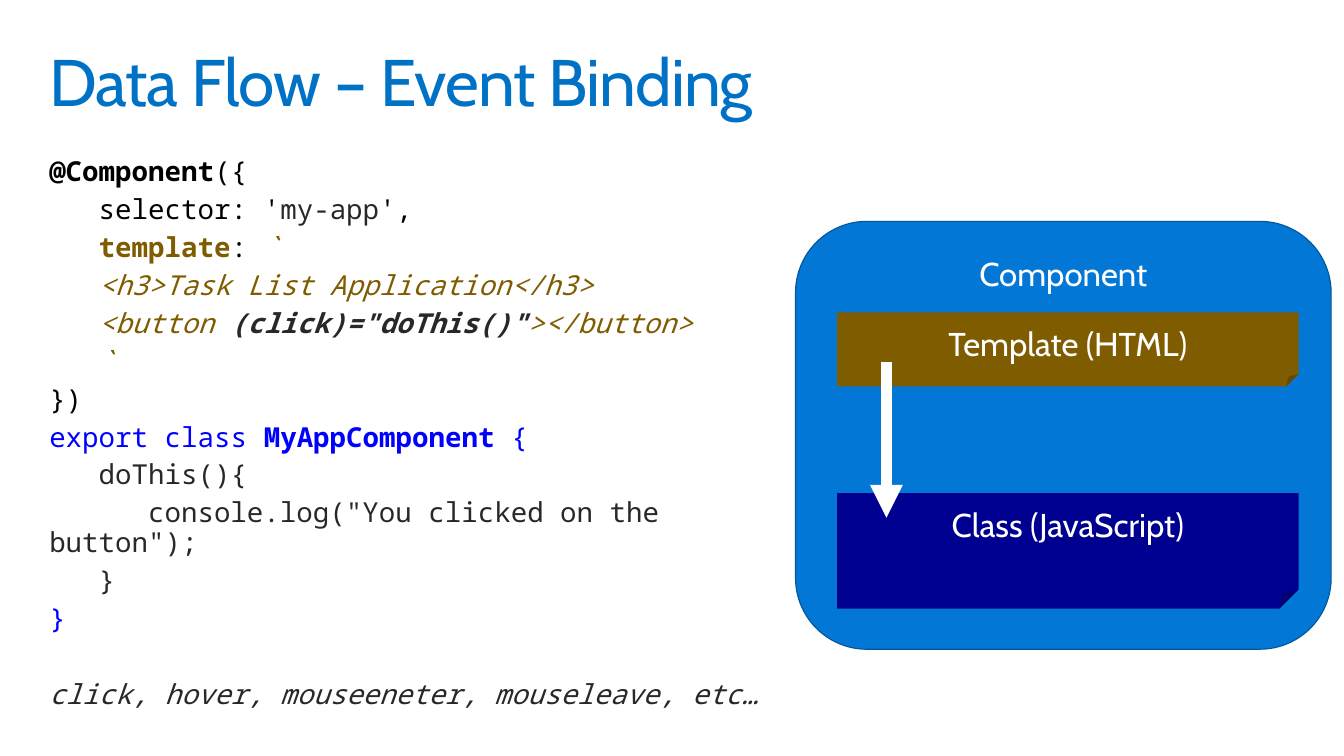
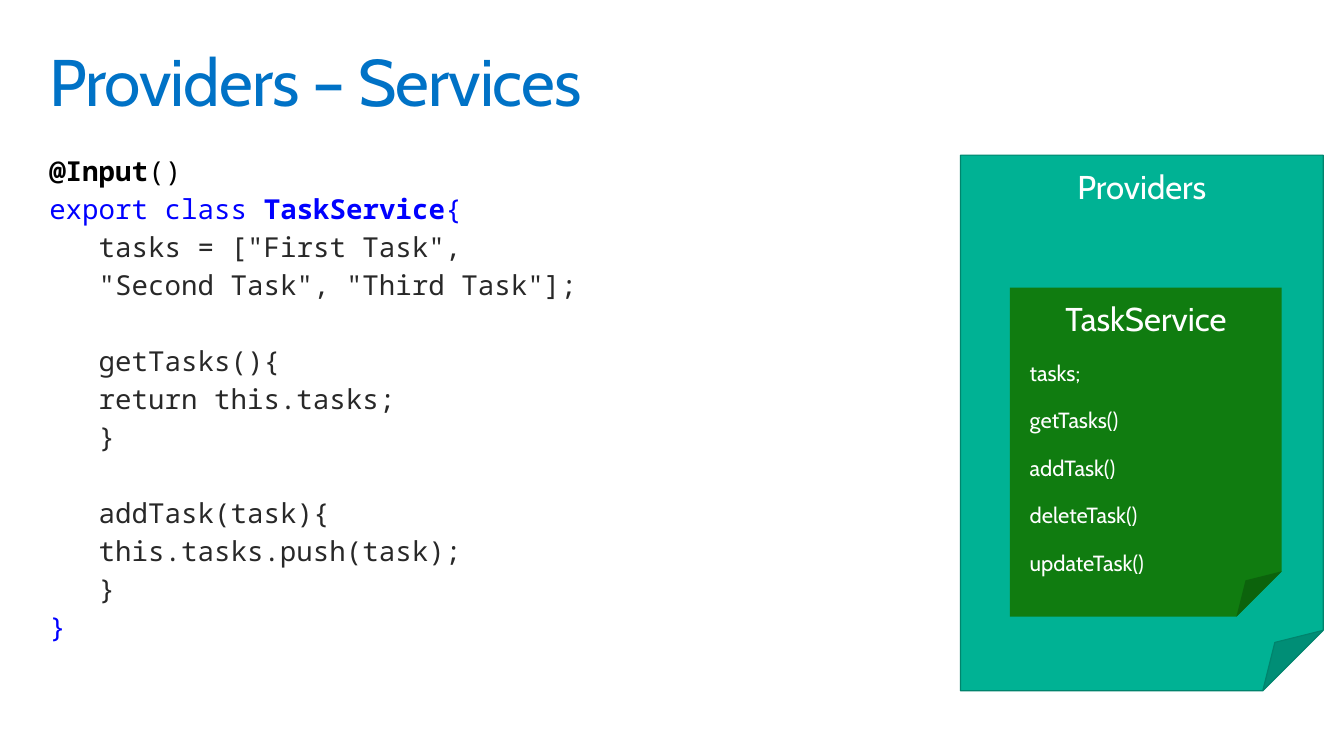
from dataclasses import dataclass

from lxml import etree
from pptx import Presentation
from pptx.dml.color import RGBColor
from pptx.enum.shapes import MSO_CONNECTOR, MSO_SHAPE
from pptx.enum.text import MSO_ANCHOR, PP_ALIGN
from pptx.oxml.ns import qn
from pptx.util import Inches, Pt

LEFT, CENTER = PP_ALIGN.LEFT, PP_ALIGN.CENTER
TOP = MSO_ANCHOR.TOP
ROUNDED, FOLDED = MSO_SHAPE.ROUNDED_RECTANGLE, MSO_SHAPE.FOLDED_CORNER
STRAIGHT = MSO_CONNECTOR.STRAIGHT

# Shared style: the slide is a grid of 136 columns by 76.5 rows
CELL = 0.1
COLUMNS, ROWS = 136, 76.5
TEXT_FONT, CODE_FONT = "Cabin", "Noto Sans Mono"
TITLE_BLUE, WHITE, BLACK, DARK = "0072C6", "FFFFFF", "000000", "282828"
BROWN, KEYWORD_BLUE, NAVY = "7F5C00", "0000FF", "000090"
SKY, SKY_EDGE = "0377D6", "02589E"
TEAL, TEAL_EDGE, GREEN = "00B294", "00846D", "107C10"
LINE_SPACING = 0.9
CODE_GAP, BLOCK_GAP, MEMBER_GAP = 6, 34, 17.25  # space before, in points
CODE_SIZE, LABEL_SIZE, MEMBER_SIZE, TITLE_SIZE = 20, 24, 16, 48


@dataclass(frozen=True)
class Area:
    """A rectangle in grid cells."""
    column: float
    row: float
    columns: float
    rows: float


@dataclass(frozen=True)
class Span:
    text: str
    color: str = DARK
    bold: bool = False
    italic: bool = False


@dataclass(frozen=True)
class Line:
    spans: tuple[Span, ...]
    gap: float = CODE_GAP


@dataclass(frozen=True)
class Panel:
    kind: int
    area: Area
    label: str
    fill: str
    edge: str = ""
    members: tuple[str, ...] = ()


@dataclass(frozen=True)
class Arrow:
    column: float
    start_row: float
    end_row: float


@dataclass(frozen=True)
class Content:
    title: str
    code_area: Area
    code: tuple[Line, ...]
    panels: tuple[Panel, ...]
    arrows: tuple[Arrow, ...] = ()


TITLE_AREA = Area(4, 4, 128, 10)


def line(*spans: Span, gap: float = CODE_GAP) -> Line:
    return Line(spans, gap)


def plain(text: str, gap: float = CODE_GAP) -> Line:
    return line(Span(text), gap=gap)


def class_line(name: str, brace: str) -> Line:
    return line(Span("export class ", KEYWORD_BLUE),
                Span(name, KEYWORD_BLUE, bold=True), Span(brace, KEYWORD_BLUE))


def markup(text: str) -> Span:
    return Span(text, BROWN, italic=True)


CLASS_END = line(Span("}", KEYWORD_BLUE))

EVENT_BINDING = Content(
    title="Data Flow – Event Binding",
    code_area=Area(4, 15, 74.8, 58.4),
    code=(
        line(Span("@Component", BLACK, bold=True), Span("({", BLACK)),
        line(Span("   selector: '", BLACK), Span("my-app"), Span("',", BLACK)),
        line(Span("   template", BROWN, bold=True), Span(": ", BLACK), markup("`")),
        line(markup("   <h3>Task List Application</h3>")),
        line(markup("   <button "),
             Span('(click)="doThis()"', bold=True, italic=True),
             markup("></button>")),
        line(markup("   `")),
        line(Span("})", BLACK)),
        class_line("MyAppComponent", " {"),
        plain("   doThis(){"),
        plain('    \tconsole.log("You clicked on the button");'),
        plain("   }"),
        CLASS_END,
        line(Span("click, hover, mouseeneter, mouseleave, etc…", italic=True),
             gap=BLOCK_GAP),
    ),
    panels=(
        Panel(ROUNDED, Area(80.5, 22.4, 54.2, 43.3), "Component", SKY, SKY_EDGE),
        Panel(FOLDED, Area(84.7, 31.6, 46.7, 7.5), "Template (HTML)", BROWN),
        Panel(FOLDED, Area(84.7, 49.9, 46.7, 11.7), "Class (JavaScript)", NAVY),
    ),
    arrows=(Arrow(89.7, 36.6, 52.4),),
)

SERVICES = Content(
    title="Providers – Services",
    code_area=Area(4, 15, 74.8, 51.6),
    code=(
        line(Span("@Input", BLACK, bold=True), Span("()", BLACK)),
        class_line("TaskService", "{"),
        plain('   tasks = ["First Task",'),
        plain('   "Second Task", "Third Task"];'),
        plain("   getTasks(){", BLOCK_GAP),
        plain("\treturn this.tasks;"),
        plain("   }"),
        plain("   addTask(task){", BLOCK_GAP),
        plain(" \tthis.tasks.push(task);"),
        plain("   }"),
        CLASS_END,
    ),
    panels=(
        Panel(FOLDED, Area(97.2, 15.7, 36.7, 54.2), "Providers", TEAL, TEAL_EDGE),
        Panel(FOLDED, Area(102.2, 29.1, 27.5, 33.3), "TaskService", GREEN,
              members=("tasks;", "getTasks()", "addTask()", "deleteTask()",
                       "updateTask()")),
    ),
)


def cells(count: float) -> int:
    return Inches(count * CELL)


def place(area: Area) -> tuple[int, int, int, int]:
    return (cells(area.column), cells(area.row),
            cells(area.columns), cells(area.rows))


def rgb(color: str) -> RGBColor:
    return RGBColor.from_string(color)


def set_frame(frame, side: float, top: float) -> None:
    """Wrap the text and set its margins in inches."""
    frame.word_wrap = True
    frame.vertical_anchor = TOP
    frame.margin_left = frame.margin_right = Inches(side)
    frame.margin_top = frame.margin_bottom = Inches(top)


def add_para(frame, *, first: bool, align=LEFT, gap: float = 0):
    para = frame.paragraphs[0] if first else frame.add_paragraph()
    para.alignment = align
    para.line_spacing = LINE_SPACING
    para.space_before = Pt(0 if first else gap)
    return para


def add_text(para, text: str, *, size: float, color: str, font: str = TEXT_FONT,
             bold: bool = False, italic: bool = False, tracking: float = 0) -> None:
    span = para.add_run()
    span.text = text
    span.font.name, span.font.size = font, Pt(size)
    span.font.bold, span.font.italic = bold, italic
    span.font.color.rgb = rgb(color)
    if tracking:
        span._r.get_or_add_rPr().set("spc", str(round(tracking * 100)))


def add_box(page, area: Area):
    frame = page.shapes.add_textbox(*place(area)).text_frame
    set_frame(frame, 0.1, 0.1)
    return frame


def draw_title(page, title: str) -> None:
    para = add_para(add_box(page, TITLE_AREA), first=True)
    add_text(para, title, size=TITLE_SIZE, color=TITLE_BLUE, tracking=-0.7)


def draw_code(page, area: Area, code: tuple[Line, ...]) -> None:
    frame = add_box(page, area)
    for index, row in enumerate(code):
        para = add_para(frame, first=index == 0, gap=row.gap)
        for span in row.spans:
            add_text(para, span.text, size=CODE_SIZE, color=span.color,
                     font=CODE_FONT, bold=span.bold, italic=span.italic)


def draw_panel(page, panel: Panel) -> None:
    shape = page.shapes.add_shape(panel.kind, *place(panel.area))
    shape.shadow.inherit = False
    shape.fill.solid()
    shape.fill.fore_color.rgb = rgb(panel.fill)
    if panel.edge:
        shape.line.color.rgb = rgb(panel.edge)
        shape.line.width = Pt(0.85)
    else:
        shape.line.fill.background()
    frame = shape.text_frame
    set_frame(frame, 0.2, 0.16)
    add_text(add_para(frame, first=True, align=CENTER), panel.label,
             size=LABEL_SIZE, color=WHITE)
    for member in panel.members:
        add_text(add_para(frame, first=False, gap=MEMBER_GAP), member,
                 size=MEMBER_SIZE, color=WHITE)


def draw_arrow(page, arrow: Arrow) -> None:
    column = cells(arrow.column)
    connector = page.shapes.add_connector(
        STRAIGHT, column, cells(arrow.start_row), column, cells(arrow.end_row))
    connector.line.color.rgb = rgb(WHITE)
    connector.line.width = Pt(8)
    etree.SubElement(connector.line._get_or_add_ln(), qn("a:tailEnd"),
                     type="triangle")
    etree.SubElement(connector._element.spPr, qn("a:effectLst"))


def draw_page(deck, content: Content) -> None:
    page = deck.slides.add_slide(deck.slide_layouts[6])
    draw_title(page, content.title)
    draw_code(page, content.code_area, content.code)
    for panel in content.panels:
        draw_panel(page, panel)
    for arrow in content.arrows:
        draw_arrow(page, arrow)


def main() -> None:
    deck = Presentation()
    deck.slide_width, deck.slide_height = cells(COLUMNS), cells(ROWS)
    for content in (EVENT_BINDING, SERVICES):
        draw_page(deck, content)
    deck.save("out.pptx")


if __name__ == "__main__":
    main()
